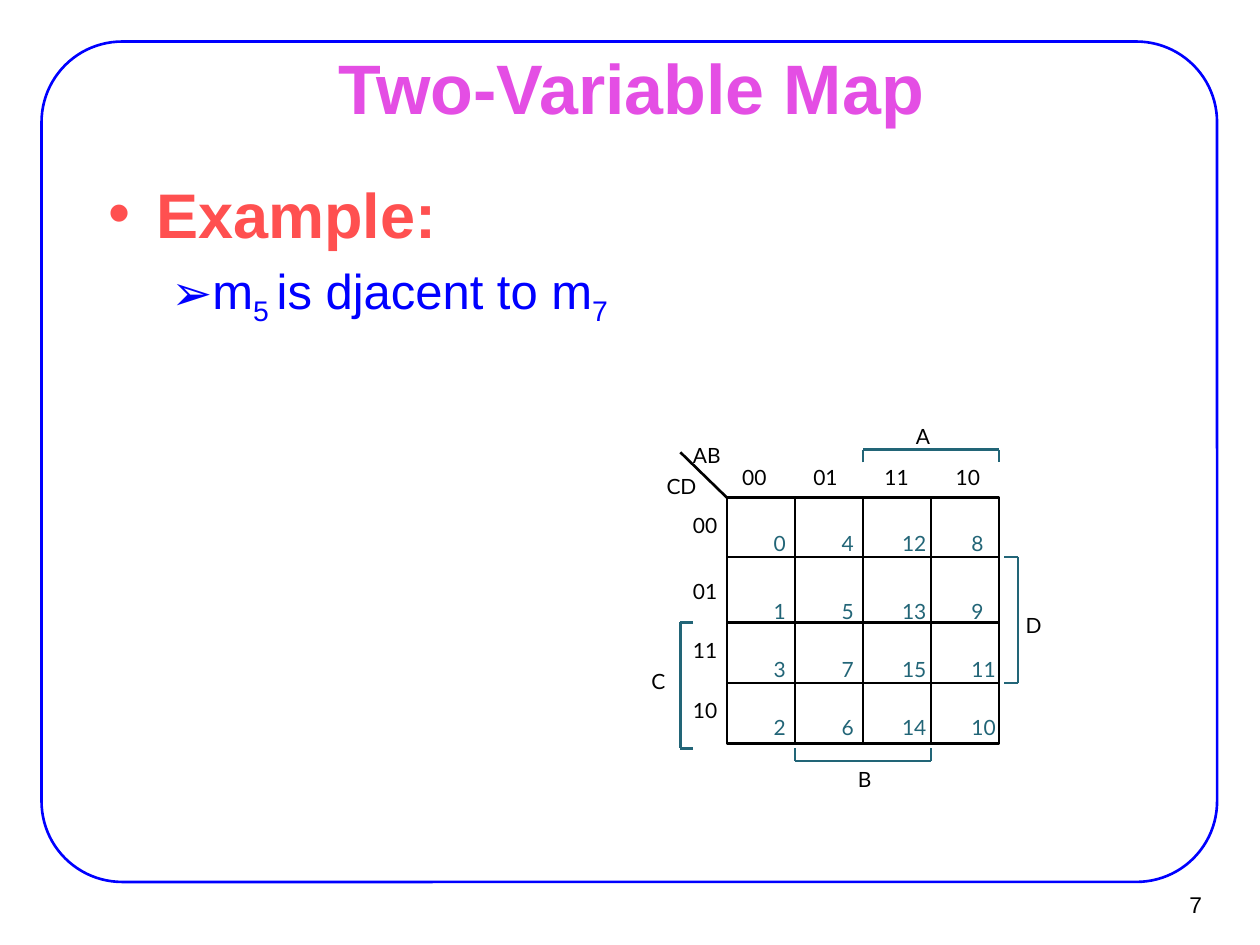
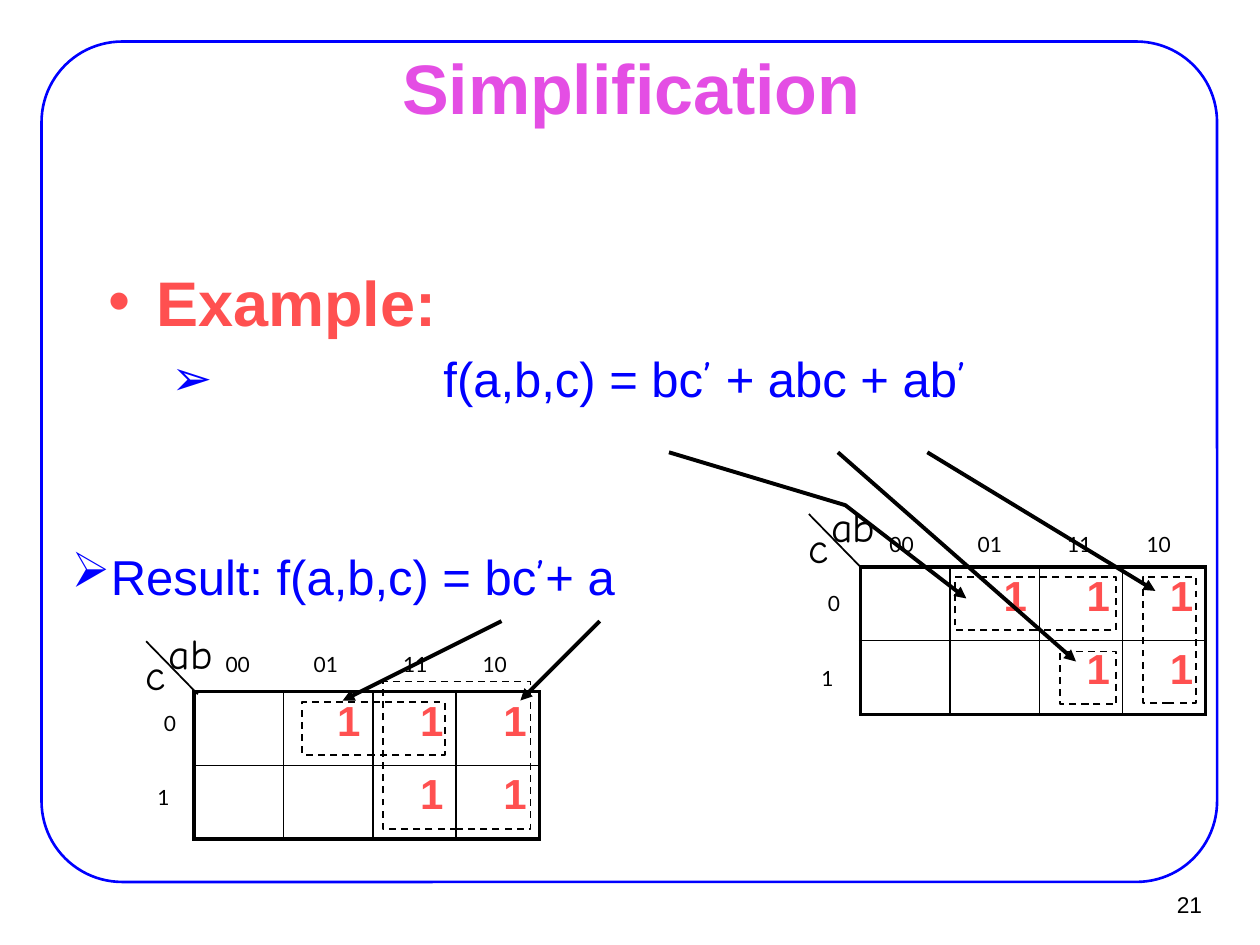
from itertools import pairwise

from lxml.etree import SubElement
from pptx import Presentation
from pptx.dml.color import RGBColor
from pptx.enum.dml import MSO_LINE_DASH_STYLE as Dash
from pptx.enum.shapes import MSO_CONNECTOR as Connector, MSO_SHAPE as Shape
from pptx.enum.text import MSO_ANCHOR as Anchor, MSO_AUTO_SIZE as AutoSize, PP_ALIGN as Align
from pptx.oxml.ns import qn
from pptx.util import Inches, Pt

BLACK, BLUE, TEAL = "000000", "0000FF", "226577"
CORAL, ORCHID = "FF5050", "E44EE4"
SANS, LABEL, HAND = "Arial", "Lato", "Comic Neue"
PRIME = ("\u2019", HAND, 0)
GRAY_CODE = ["00", "01", "11", "10"]


def colour(hex_code):
    return RGBColor.from_string(hex_code)


def inches(*lengths):
    return [Inches(length) for length in lengths]


def style(paragraph, face, size, hex_code, bold=False):
    paragraph.font.name = face
    paragraph.font.size = Pt(size)
    paragraph.font.bold = bold
    paragraph.font.color.rgb = colour(hex_code)


def set_bullet(paragraph, char, left, hanging):
    properties = paragraph._p.get_or_add_pPr()
    properties.set("marL", str(Inches(left)))
    properties.set("indent", str(Inches(-hanging)))
    SubElement(properties, qn("a:buChar")).set("char", char)


def add_runs(paragraph, pieces):
    for words, face, baseline in pieces:
        run = paragraph.add_run()
        run.text = words
        if face:
            run.font.name = face
        if baseline:
            run._r.get_or_add_rPr().set("baseline", str(baseline * 1000))


def plain(words):
    return (words, None, 0)


def subscript(words):
    return (words, None, -25)


def set_insets(frame, across, down):
    frame.margin_left = frame.margin_right = Inches(across)
    frame.margin_top = frame.margin_bottom = Inches(down)


def add_text(slide, box, words, face, size, hex_code, insets=(0.1, 0.05), wrap=False):
    frame = slide.shapes.add_textbox(*inches(*box)).text_frame
    frame.word_wrap = wrap
    set_insets(frame, *insets)
    paragraph = frame.paragraphs[0]
    paragraph.text = words
    style(paragraph, face, size, hex_code)
    return frame


def add_label(slide, left, top, words, hex_code=BLACK):
    box = (left, top, 0.06 + 0.1 * len(words), 0.2)
    add_text(slide, box, words, LABEL, 12, hex_code, (0, 0), True)


def add_arrowhead(line):
    SubElement(line._get_or_add_ln(), qn("a:tailEnd")).set("type", "triangle")


def add_line(slide, start, end, hex_code=BLACK, width=1.5, arrow=False):
    connector = slide.shapes.add_connector(Connector.STRAIGHT, *inches(*start, *end))
    connector.line.color.rgb = colour(hex_code)
    connector.line.width = Pt(width)
    if arrow:
        add_arrowhead(connector.line)
    SubElement(connector.element.spPr, qn("a:effectLst"))


def add_polyline(slide, points, hex_code):
    for start, end in pairwise(points):
        add_line(slide, start, end, hex_code)


def add_bent_arrow(slide, points):
    start, *rest = [inches(*point) for point in points]
    builder = slide.shapes.build_freeform(*start)
    builder.add_line_segments(rest, close=False)
    arrow = builder.convert_to_shape()
    arrow.shadow.inherit = False
    arrow.fill.background()
    arrow.line.color.rgb = colour(BLACK)
    arrow.line.width = Pt(2.25)
    add_arrowhead(arrow.line)


def add_outline(slide, kind, box, hex_code, width, dash=None):
    outline = slide.shapes.add_shape(kind, *inches(*box))
    outline.shadow.inherit = False
    outline.fill.background()
    outline.line.color.rgb = colour(hex_code)
    outline.line.width = Pt(width)
    if dash:
        outline.line.dash_style = dash
    return outline


def add_layout_frame(slide):
    border = add_outline(slide, Shape.ROUNDED_RECTANGLE, (0.33, 0.33, 9.33, 6.67), BLUE, 1.5)
    border.adjustments[0] = 0.096
    slide.slide_layout.shapes.element.append(border.element)


def place(placeholder, box):
    placeholder.left, placeholder.top, placeholder.width, placeholder.height = inches(*box)
    frame = placeholder.text_frame
    frame.auto_size = AutoSize.NONE
    set_insets(frame, 0.11, 0.06)
    return frame


def start_slide(deck, title, number):
    slide = deck.slides.add_slide(deck.slide_layouts[1])
    frame = place(slide.shapes.title, (0.76, 0.44, 8.5, 0.49))
    frame.vertical_anchor = Anchor.MIDDLE
    heading = frame.paragraphs[0]
    heading.text = title
    heading.alignment = Align.CENTER
    style(heading, SANS, 40, ORCHID, True)

    footer = add_text(slide, (9.02, 6.99, 0.61, 0.37), number, SANS, 13, BLACK,
                      (0.09, 0.04), True)
    footer.vertical_anchor = Anchor.MIDDLE
    footer.paragraphs[0].alignment = Align.RIGHT
    return slide


def add_example(slide, height, pieces, top_inset=0.06, left=0.81):
    frame = place(slide.placeholders[1], (0.75, 1.33, 8.5, height))
    frame.margin_top = Inches(top_inset)
    example = frame.paragraphs[0]
    example.text = "Example:"
    set_bullet(example, "\u2022", 0.38, 0.38)
    style(example, SANS, 36, CORAL, True)
    statement = frame.add_paragraph()
    statement.level = 1
    add_runs(statement, pieces)
    set_bullet(statement, "\u27a2", left, left - 0.5)
    style(statement, SANS, 28, BLUE)


def add_four_variable_map(slide, left, top):
    pitch = 0.54
    row_edges = [0, 0.47, 0.99, 1.47, 1.95]
    width, height = 4 * pitch, row_edges[-1]

    def at(x, y):
        return left + x, top + y

    for y in row_edges[1:-1]:
        add_line(slide, at(0, y), at(width, y))
    for column in range(1, 4):
        add_line(slide, at(column * pitch, 0), at(column * pitch, height))
    add_line(slide, at(0, 0), at(-0.37, -0.36))
    add_outline(slide, Shape.RECTANGLE, (*at(0, 0), width, height), BLACK, 1.5)

    near, far = 0.04, 0.15
    brackets = [
        [(pitch, 1.99), (pitch, 2.09), (3 * pitch, 2.09), (3 * pitch, 1.99)],
        [(2 * pitch, -0.28), (2 * pitch, -0.38), (width, -0.38), (width, -0.28)],
        [(width + near, 0.47), (width + far, 0.47), (width + far, 1.47), (width + near, 1.47)],
        [(-0.27, 0.99), (-0.37, 0.99), (-0.37, 1.99), (-0.27, 1.99)],
    ]
    for corners in brackets:
        add_polyline(slide, [at(*corner) for corner in corners], TEAL)

    minterms = [[0, 4, 12, 8], [1, 5, 13, 9], [3, 7, 15, 11], [2, 6, 14, 10]]
    for y, row in zip([0.26, 0.8, 1.26, 1.72], minterms):
        for x, minterm in zip([0.37, 0.91, 1.39, 1.94], row):
            add_label(slide, *at(x, y), str(minterm), TEAL)

    for column, code in enumerate(GRAY_CODE):
        add_label(slide, *at(0.12 + 0.565 * column, -0.26), code)
    for y, code in zip([0.12, 0.64, 1.11, 1.59], GRAY_CODE):
        add_label(slide, *at(-0.27, y), code)
    variables = [("AB", -0.27, -0.44), ("CD", -0.48, -0.19), ("A", 1.5, -0.59),
                 ("B", 1.04, 2.13), ("C", -0.6, 1.36), ("D", 2.37, 0.91)]
    for name, x, y in variables:
        add_label(slide, *at(x, y), name)


def set_borders(cell, widths):
    properties = cell._tc.get_or_add_tcPr()
    for side, width in zip("LRTB", widths):
        border = SubElement(properties, qn("a:ln" + side), w=str(Pt(width)))
        fill = SubElement(border, qn("a:solidFill"))
        SubElement(fill, qn("a:srgbClr"), val=BLACK)


def add_three_variable_map(slide, left, top, groups, label_shift=(0, 0), corner_shift=(0, 0)):
    ones = ["0111", "0011"]
    table = slide.shapes.add_table(2, 4, *inches(left, top, 2.74, 1.17)).table
    table.first_row = table.horz_banding = False
    for column, width in zip(table.columns, [0.71, 0.71, 0.66, 0.66]):
        column.width = Inches(width)
    for y, row in enumerate(ones):
        table.rows[y].height = Inches(0.585)
        for x, value in enumerate(row):
            cell = table.cell(y, x)
            outer = (x == 0, x == 3, y == 0, y == 1)
            set_borders(cell, [2.25 if edge else 1 for edge in outer])
            cell.fill.background()
            if value == "1":
                paragraph = cell.text_frame.paragraphs[0]
                paragraph.text = value
                paragraph.alignment = Align.RIGHT
                paragraph.space_before = Pt(5)
                style(paragraph, SANS, 24, CORAL, True)

    for x, y, width, height in groups:
        add_outline(slide, Shape.RECTANGLE, (left + x, top + y, width, height),
                    BLACK, 1, Dash.DASH)

    label_x, label_y = left + label_shift[0], top + label_shift[1]
    for x, code in zip([0.23, 0.93, 1.64, 2.27], GRAY_CODE):
        add_label(slide, label_x + x, label_y - 0.28, code)
    add_label(slide, label_x - 0.26, label_y + 0.19, "0")
    add_label(slide, label_x - 0.31, label_y + 0.78, "1")

    corner_x, corner_y = left + corner_shift[0], top + corner_shift[1]
    add_text(slide, (corner_x - 0.51, corner_y - 0.41, 0.37, 0.5), "c", HAND, 24, BLACK)
    add_text(slide, (corner_x - 0.33, corner_y - 0.58, 0.57, 0.5), "ab", HAND, 24, BLACK)
    add_line(slide, (corner_x, corner_y), (corner_x - 0.41, corner_y - 0.42), width=1)


def add_result(slide, box):
    frame = add_text(slide, box, "", SANS, 28, BLUE, (0.11, 0.06), True)
    frame.margin_top = Inches(0.6)
    result = frame.paragraphs[0]
    set_bullet_first = result._p.get_or_add_pPr()
    set_bullet_first.clear()
    add_runs(result, [plain("Result: f(a,b,c) = bc"), PRIME, plain("+ a")])
    set_bullet(result, "\u27a2", 0.81, 0.31)
    result.space_before = Pt(6)
    style(result, SANS, 28, BLUE)


def build_adjacency(deck):
    slide = start_slide(deck, "Two-Variable Map", "7")
    add_layout_frame(slide)
    add_example(slide, 5.08, [plain("m"), subscript("5 "), plain("is djacent to m"),
                              subscript("7")])
    add_four_variable_map(slide, 5.77, 3.95)


def build_simplification(deck):
    slide = start_slide(deck, "Simplification", "21")
    add_example(slide, 3.68, [plain("f(a,b,c) = bc"), PRIME, plain(" + abc + ab"), PRIME],
                top_inset=0.76, left=2.66)
    add_three_variable_map(slide, 6.83, 4.5, [(0.75, 0.08, 1.28, 0.42),
                                              (1.58, 0.67, 0.45, 0.42),
                                              (2.24, 0.08, 0.42, 1)])
    add_three_variable_map(slide, 1.54, 5.49, [(0.86, 0.08, 1.13, 0.42),
                                               (1.5, -0.08, 1.17, 1.17)],
                           (0.02, -0.04), (0.03, 0.02))
    arrows = [((7.36, 3.59), (9.17, 4.69)), ((6.65, 3.59), (8.54, 5.25)),
              ((3.98, 4.93), (2.72, 5.56)), ((4.76, 4.93), (4.13, 5.56))]
    for start, end in arrows:
        add_line(slide, start, end, width=2.25, arrow=True)
    add_bent_arrow(slide, [(5.31, 3.59), (6.71, 4.01), (7.67, 4.75)])
    add_result(slide, (-0.04, 3.83, 8.5, 1.26))


deck = Presentation()
deck.slide_width, deck.slide_height = inches(10, 7.5)
build_adjacency(deck)
build_simplification(deck)
deck.save("out.pptx")
